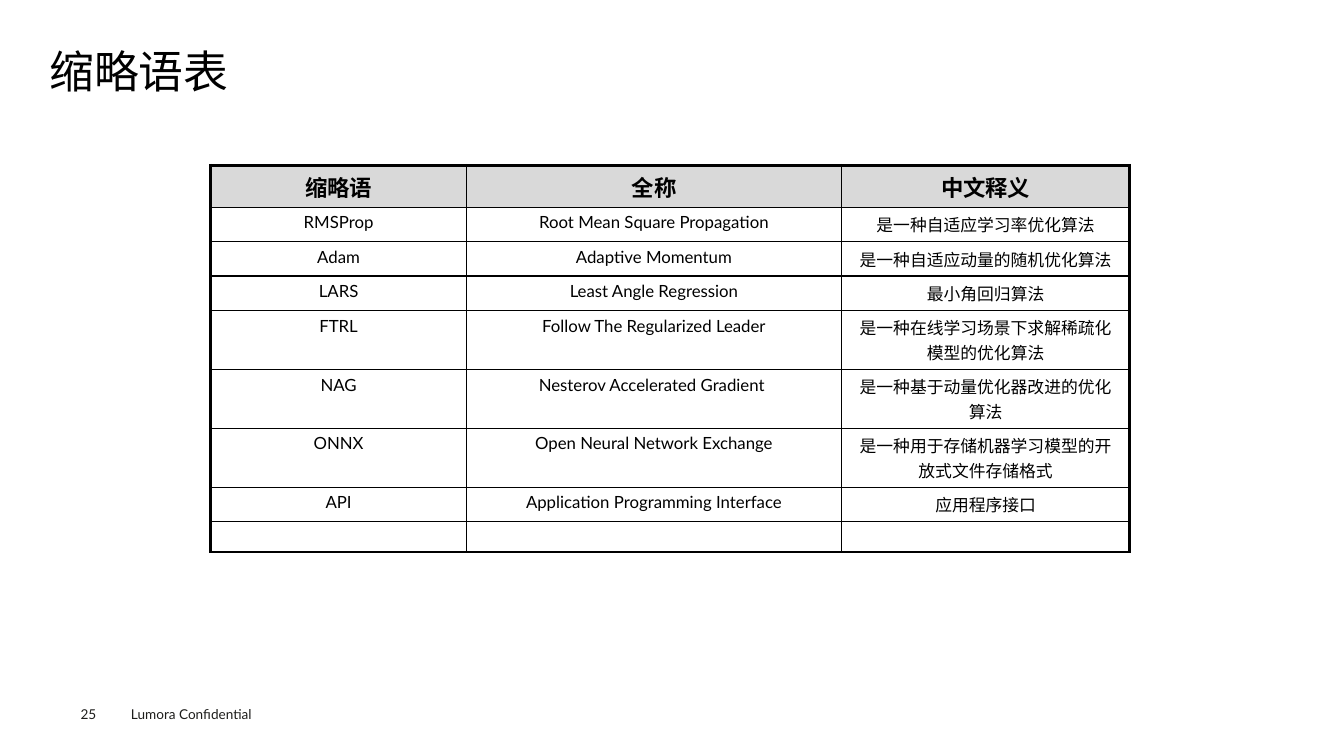
from lxml.etree import SubElement
from pptx import Presentation
from pptx.dml.color import RGBColor as RGB
from pptx.enum.text import MSO_ANCHOR as ANCHOR, PP_ALIGN as ALIGN
from pptx.oxml.ns import qn
from pptx.util import Pt

HEADER, SINGLE, WRAPPED, EMPTY = 30, 24.6, 42.1, 21.6
ROWS = [
    (HEADER, "缩略语", "全称", "中文释义"),
    (SINGLE, "RMSProp", "Root Mean Square Propagation", "是一种自适应学习率优化算法"),
    (SINGLE, "Adam", "Adaptive Momentum", "是一种自适应动量的随机优化算法"),
    (SINGLE, "LARS", "Least Angle Regression", "最小角回归算法"),
    (WRAPPED, "FTRL", "Follow The Regularized Leader", "是一种在线学习场景下求解稀疏化模型的优化算法"),
    (WRAPPED, "NAG", "Nesterov Accelerated Gradient ", "是一种基于动量优化器改进的优化算法"),
    (WRAPPED, "ONNX", "Open Neural Network Exchange", "是一种用于存储机器学习模型的开放式文件存储格式"),
    (SINGLE, "API", "Application Programming Interface", "应用程序接口"),
    (EMPTY, "", "", ""),
]


class GlossarySlide:
    """Draws text and bordered tables on one slide in a shared style."""

    font = "Lato"
    colors = {"black": "000000", "footer": "1D1D1B", "header": "D9D9D9"}
    thin, thick = 1, 2.25

    def __init__(self, prs):
        self.slide = prs.slides.add_slide(prs.slide_layouts[6])

    def color(self, name):
        return RGB.from_string(self.colors[name])

    def style(self, p, size, color="black", bold=False):
        for r in p.runs:
            r.font.name, r.font.size, r.font.bold = self.font, Pt(size), bold
            r.font.color.rgb = self.color(color)

    def text(self, text, box, size, color="black", anchor=ANCHOR.TOP, spacing=None):
        sp = self.slide.shapes.add_textbox(*map(Pt, box))
        tf = sp.text_frame
        tf.margin_left = tf.margin_right = tf.margin_top = tf.margin_bottom = 0
        tf.word_wrap = True
        tf.vertical_anchor = anchor
        tf.text = text
        p = tf.paragraphs[0]
        p.line_spacing = spacing
        self.style(p, size, color)

    def border(self, cell, side, width):
        ln = SubElement(cell._tc.get_or_add_tcPr(), qn(f"a:ln{side}"), w=str(Pt(width)))
        fill = SubElement(ln, qn("a:solidFill"))
        SubElement(fill, qn("a:srgbClr"), val=self.colors["black"])

    def cell(self, cell, text, edges, header):
        for side, outer in edges.items():
            self.border(cell, side, self.thick if outer else self.thin)
        if header:
            cell.fill.solid()
            cell.fill.fore_color.rgb = self.color("header")
        else:
            cell.fill.background()
        size = 16 if header else 12
        cell.text = text
        p = cell.text_frame.paragraphs[0]
        p.alignment = ALIGN.CENTER
        self.style(p, size, bold=header)
        if not text:
            SubElement(p._p, qn("a:endParaRPr"), sz=str(size * 100))

    def table(self, rows, left, top, widths):
        n_rows, n_cols = len(rows), len(widths)
        height = sum(row[0] for row in rows)
        frame = self.slide.shapes.add_table(
            n_rows, n_cols, Pt(left), Pt(top), Pt(sum(widths)), Pt(height))
        table = frame.table
        table.first_row = table.horz_banding = False
        for col, width in zip(table.columns, widths):
            col.width = Pt(width)
        for i, (row_height, *texts) in enumerate(rows):
            table.rows[i].height = Pt(row_height)
            for j, text in enumerate(texts):
                edges = {"L": j == 0, "R": j == n_cols - 1,
                         "T": i == 0, "B": i == n_rows - 1}
                self.cell(table.cell(i, j), text, edges, header=i == 0)


def main():
    prs = Presentation()
    prs.slide_width, prs.slide_height = Pt(960), Pt(540)
    s = GlossarySlide(prs)
    s.text("Lumora Confidential", (93.6, 504, 108, 12), 9.7, "footer")
    s.text("25", (57.6, 504, 30, 12), 9.7, "footer")
    s.text("缩略语表", (35.3, 33.2, 889, 39), 32, anchor=ANCHOR.MIDDLE, spacing=0.9)
    s.table(ROWS, 150.5, 118, (182.8, 267.8, 206))
    prs.save("out.pptx")


if __name__ == "__main__":
    main()
